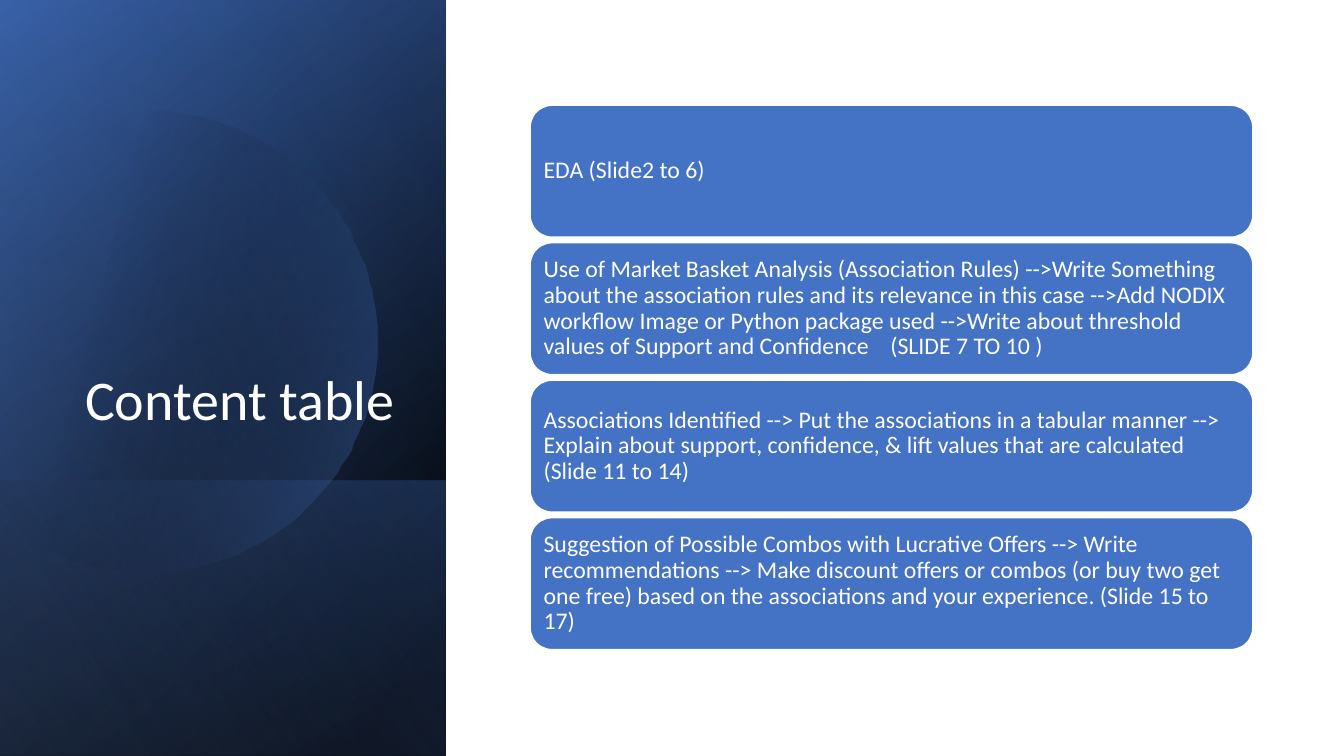
import math
from dataclasses import dataclass

import lxml.etree
import pptx
import pptx.dml.color
import pptx.enum.shapes
import pptx.enum.text
import pptx.oxml
import pptx.oxml.ns
import pptx.util

Pt = pptx.util.Pt


@dataclass(frozen=True)
class Theme:
    font: str = "Calibri"
    title_size: int = 40
    body_size: int = 17
    white: str = "FFFFFF"
    black: str = "000000"
    blue: str = "4472C4"
    deep_blue: str = "2F5597"
    pale_blue: str = "8FAADC"


theme = Theme()


def set_gradient(shape, angle, stops):
    shape.shadow.inherit = False
    shape.line.fill.background()
    shape.fill.gradient()
    shape.fill.gradient_angle = 360 - angle
    gradient = shape.element.spPr.find(pptx.oxml.ns.qn("a:gradFill"))
    stop_list = gradient.find(pptx.oxml.ns.qn("a:gsLst"))
    for old_stop in list(stop_list):
        stop_list.remove(old_stop)
    for position, color, opacity in stops:
        stop = lxml.etree.SubElement(stop_list, pptx.oxml.ns.qn("a:gs"), pos=str(position * 1000))
        fill = lxml.etree.SubElement(stop, pptx.oxml.ns.qn("a:srgbClr"), val=color)
        if opacity < 100:
            lxml.etree.SubElement(fill, pptx.oxml.ns.qn("a:alpha"), val=str(opacity * 1000))


def write_text(paragraph, text, size):
    paragraph.line_spacing = 0.9
    run = paragraph.add_run()
    run.text = text
    run.font.name = theme.font
    run.font.size = Pt(size)
    run.font.color.rgb = pptx.dml.color.RGBColor.from_string(theme.white)


presentation = pptx.Presentation()
presentation.slide_width = Pt(960)
presentation.slide_height = Pt(540)
slide = presentation.slides.add_slide(presentation.slide_layouts[5])
slide.background.fill.solid()
slide.background.fill.fore_color.rgb = pptx.dml.color.RGBColor.from_string(theme.white)

panel_width = 318.5
strip_top = 343
panel_layers = [
    (0, 220, [(8, theme.black, 100), (100, theme.deep_blue, 100)]),
    (0, 240, [(0, theme.black, 0), (99, theme.blue, 46)]),
    (strip_top, 140, [(2, theme.blue, 29), (100, theme.black, 30)]),
    (0, 150, [(0, theme.black, 0), (99, theme.pale_blue, 11)]),
]
panels = []
for top, angle, stops in panel_layers:
    panel = slide.shapes.add_shape(
        pptx.enum.shapes.MSO_SHAPE.RECTANGLE, 0, Pt(top), Pt(panel_width), Pt(540 - top)
    )
    set_gradient(panel, angle, stops)
    panels.append(panel)

center_x, center_y, radius = 105, 244, 165
half_sweep = math.acos(-center_x / radius)
arc = []
for step in range(121):
    turn = half_sweep * (step / 60 - 1)
    arc.append((center_x + radius * math.cos(turn), center_y + radius * math.sin(turn)))
builder = slide.shapes.build_freeform(*arc[0], scale=Pt(1))
builder.add_line_segments(arc[1:], close=True)
circle = builder.convert_to_shape()
set_gradient(circle, 14, [(29, theme.black, 0), (100, theme.blue, 43)])
panels[-1].element.addprevious(circle.element)

title = slide.shapes.title
slide.shapes.element.append(title.element)
title.left, title.top, title.width, title.height = Pt(37), Pt(46), Pt(252), Pt(266.5)
title.text_frame.word_wrap = True
title.text_frame.auto_size = pptx.enum.text.MSO_AUTO_SIZE.NONE
title.text_frame.vertical_anchor = pptx.enum.text.MSO_ANCHOR.BOTTOM
title_paragraph = title.text_frame.paragraphs[0]
title_paragraph.alignment = pptx.enum.text.PP_ALIGN.RIGHT
write_text(title_paragraph, "Content table", theme.title_size)

topics = [
    "EDA (Slide2 to 6)",
    "Use of Market Basket Analysis (Association Rules) -->Write Something about the "
    "association rules and its relevance in this case -->Add NODIX workflow Image or "
    "Python package used -->Write about threshold values of Support and Confidence"
    "    (SLIDE 7 TO 10 )",
    "Associations Identified --> Put the associations in a tabular manner --> Explain "
    "about support, confidence, & lift values that are calculated (Slide 11 to 14)",
    "Suggestion of Possible Combos with Lucrative Offers --> Write recommendations --> "
    "Make discount offers or combos (or buy two get one free) based on the associations "
    "and your experience. (Slide 15 to 17)",
]
for index, topic in enumerate(topics):
    box = slide.shapes.add_shape(
        pptx.enum.shapes.MSO_SHAPE.ROUNDED_RECTANGLE,
        Pt(378.7), Pt(75.2 + index * 98.2), Pt(516.2), Pt(94.2),
    )
    box.shadow.inherit = False
    box.fill.solid()
    box.fill.fore_color.rgb = pptx.dml.color.RGBColor.from_string(theme.blue)
    box.line.color.rgb = pptx.dml.color.RGBColor.from_string(theme.white)
    box.line.width = Pt(1)
    frame = box.text_frame
    frame.word_wrap = True
    frame.vertical_anchor = pptx.enum.text.MSO_ANCHOR.MIDDLE
    frame.margin_left = frame.margin_right = Pt(5)
    frame.margin_top = frame.margin_bottom = Pt(5)
    paragraph = frame.paragraphs[0]
    paragraph.alignment = pptx.enum.text.PP_ALIGN.LEFT
    write_text(paragraph, topic, theme.body_size)

presentation.save("out.pptx")
